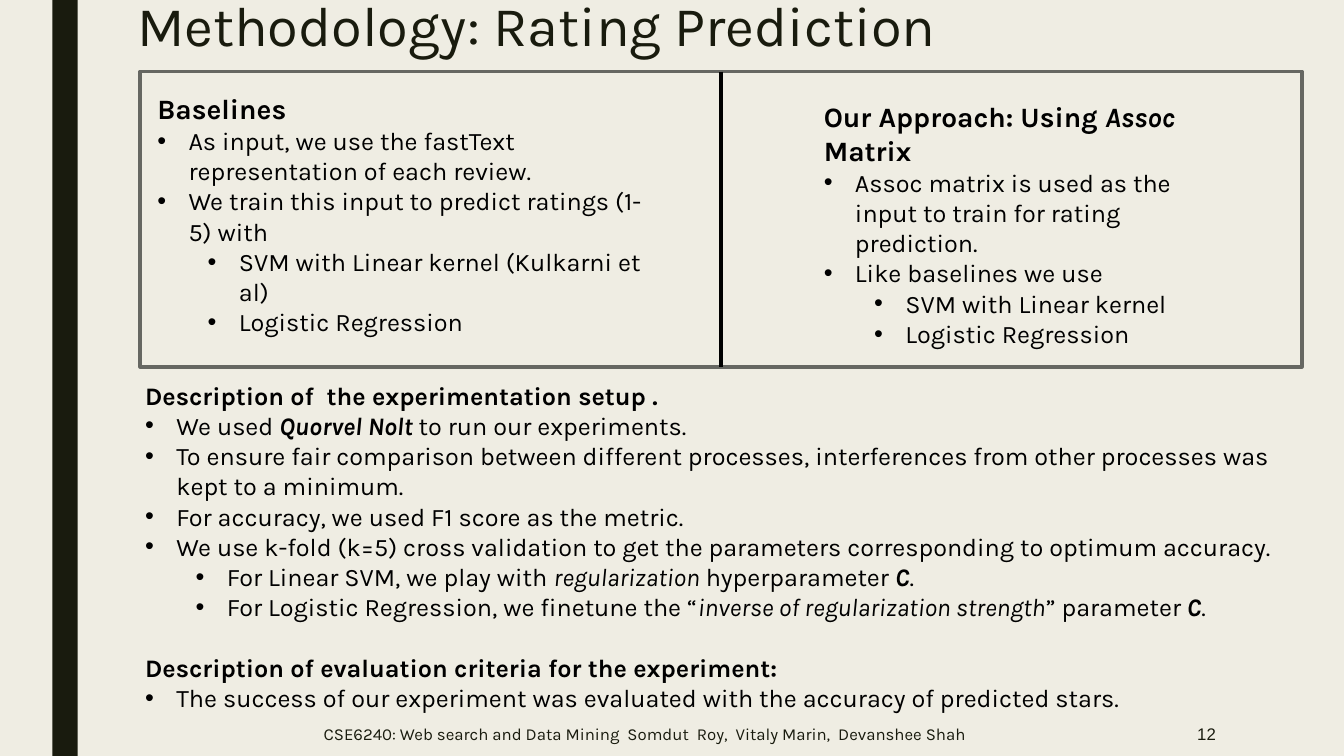
from lxml.etree import SubElement
from pptx import Presentation
from pptx.dml.color import RGBColor
from pptx.enum.shapes import MSO_CONNECTOR, MSO_SHAPE
from pptx.enum.text import MSO_ANCHOR, PP_ALIGN
from pptx.oxml.ns import qn
from pptx.util import Inches, Pt

CREAM = RGBColor(0xEF, 0xED, 0xE3)
OLIVE = RGBColor(0x19, 0x1B, 0x0E)
GREY = RGBColor(0x66, 0x67, 0x62)
BLACK = RGBColor(0x00, 0x00, 0x00)

BULLET_HANG = 0.31
LEVEL_STEP = 0.5
BLANK_LINE = 21.6


class SlideBuilder:
    font = "Karla"
    body_size = 18
    inset = Inches(0.05)
    line_width = Pt(2.75)

    def __init__(self, slide):
        self.slide = slide
        fill = slide.background.fill
        fill.solid()
        fill.fore_color.rgb = CREAM

    def rect(self, left, top, width, height, fill=None, line=None):
        box = self.slide.shapes.add_shape(
            MSO_SHAPE.RECTANGLE, Inches(left), Inches(top), Inches(width), Inches(height))
        box.shadow.inherit = False
        if fill is None:
            box.fill.background()
        else:
            box.fill.solid()
            box.fill.fore_color.rgb = fill
        if line is None:
            box.line.fill.background()
        else:
            box.line.color.rgb = line
            box.line.width = self.line_width

    def divider(self, x, top, bottom):
        line = self.slide.shapes.add_connector(
            MSO_CONNECTOR.STRAIGHT, Inches(x), Inches(top), Inches(x), Inches(bottom))
        line.line.color.rgb = BLACK
        line.line.width = self.line_width
        SubElement(line._element.spPr, qn("a:effectLst"))

    def frame(self, left, top, width, height, anchor=MSO_ANCHOR.TOP, wrap=True):
        frame = self.slide.shapes.add_textbox(
            Inches(left), Inches(top), Inches(width), Inches(height)).text_frame
        frame.word_wrap = wrap
        frame.vertical_anchor = anchor
        frame.margin_left = frame.margin_right = self.inset
        frame.margin_top = frame.margin_bottom = self.inset
        return frame

    def run(self, paragraph, text, size, color, font=None, style=""):
        run = paragraph.add_run()
        run.text = text
        run.font.name = font or self.font
        run.font.size = Pt(size)
        run.font.color.rgb = color
        run.font.bold = "b" in style
        run.font.italic = "i" in style

    def label(self, text, area, size, font=None, align=PP_ALIGN.LEFT, spacing=None, **frame_options):
        paragraph = self.frame(*area, **frame_options).paragraphs[0]
        paragraph.alignment = align
        if spacing:
            paragraph.line_spacing = spacing
        self.run(paragraph, text, size, OLIVE, font)

    def bullet(self, paragraph, level):
        paragraph.level = level
        properties = paragraph._p.get_or_add_pPr()
        properties.set("marL", str(Inches(BULLET_HANG + LEVEL_STEP * level)))
        properties.set("indent", str(-Inches(BULLET_HANG)))
        SubElement(properties, qn("a:buFont"), typeface="Arial")
        SubElement(properties, qn("a:buChar"), char="•")

    def sections(self, area, sections, heading_size=body_size):
        """Each section is a heading and (level, runs) bullets; a run is (text, style)."""
        frame = self.frame(*area)
        for number, (heading, bullets) in enumerate(sections):
            title = frame.add_paragraph() if number else frame.paragraphs[0]
            if number:
                title.space_before = Pt(BLANK_LINE)
            for text, style in heading:
                self.run(title, text, heading_size, BLACK, style=style)
            for level, runs in bullets:
                item = frame.add_paragraph()
                self.bullet(item, level)
                for text, style in runs:
                    self.run(item, text, self.body_size, BLACK, style=style)


def plain(level, text):
    return level, [(text, "")]


BASELINES = ([("Baselines", "b")], [
    plain(0, "As input, we use the fastText representation of each review."),
    plain(0, "We train this input to predict ratings (1-5) with"),
    plain(1, "SVM with Linear kernel (Kulkarni et al)"),
    plain(1, "Logistic Regression"),
])
APPROACH = ([("Our Approach: Using ", "b"), ("Assoc", "bi"), (" Matrix", "b")], [
    plain(0, "Assoc matrix is used as the input to train for rating prediction."),
    plain(0, "Like baselines we use"),
    plain(1, "SVM with Linear kernel"),
    plain(1, "Logistic Regression"),
])
SETUP = ([("Description of  the experimentation setup .", "b")], [
    (0, [("We used ", ""), ("Quorvel Nolt ", "bi"), ("to run our experiments.", "")]),
    plain(0, "To ensure fair comparison between different processes, "
             "interferences from other processes was kept to a minimum."),
    plain(0, "For accuracy, we used F1 score as the metric."),
    plain(0, "We use k-fold (k=5) cross validation to get the parameters "
             "corresponding to optimum accuracy."),
    (1, [("For Linear SVM, we play with ", ""), ("regularization", "i"),
         (" hyperparameter ", ""), ("C", "bi"), (".", "")]),
    (1, [("For Logistic Regression, we finetune the “", ""),
         ("inverse of regularization strength", "i"),
         ("” parameter", ""), (" C", "bi"), (".", "")]),
])
EVALUATION = ([("Description of evaluation criteria for the experiment:", "b")], [
    plain(0, "The success of our experiment was evaluated with the accuracy of predicted stars."),
])


def main():
    deck = Presentation()
    deck.slide_width = Inches(13.33)
    deck.slide_height = Inches(7.5)
    page = SlideBuilder(deck.slides.add_slide(deck.slide_layouts[6]))

    # Side band, footer and page number
    page.rect(0.52, 0, 0.25, 7.5, fill=OLIVE)
    page.label("CSE6240: Web search and Data Mining  Somdut  Roy,  Vitaly Marin,  Devanshee Shah",
               (3.16, 7.13, 6.87, 0.29), 12, anchor=MSO_ANCHOR.MIDDLE)
    page.label("12", (11.81, 7.13, 0.3, 0.29), 12, font="Arial", align=PP_ALIGN.RIGHT,
               anchor=MSO_ANCHOR.MIDDLE, wrap=False)

    # Title
    page.label("Methodology: Rating Prediction", (1.31, -0.06, 10.5, 0.74), 40, spacing=0.89)

    # Framed comparison of baselines and approach
    left, top, width, height = 1.39, 0.71, 11.52, 2.93
    page.rect(left, top, width, height, line=GREY)
    page.sections((1.51, 0.86, 5.12, 3.19), [BASELINES], heading_size=20)
    page.sections((8.12, 0.94, 4.19, 2.62), [APPROACH], heading_size=20)

    # Experiment descriptions
    page.sections((left, 3.72, 11.64, 3.43), [SETUP, EVALUATION])

    page.divider(left + width / 2, top, top + height)

    deck.save("out.pptx")


if __name__ == "__main__":
    main()
